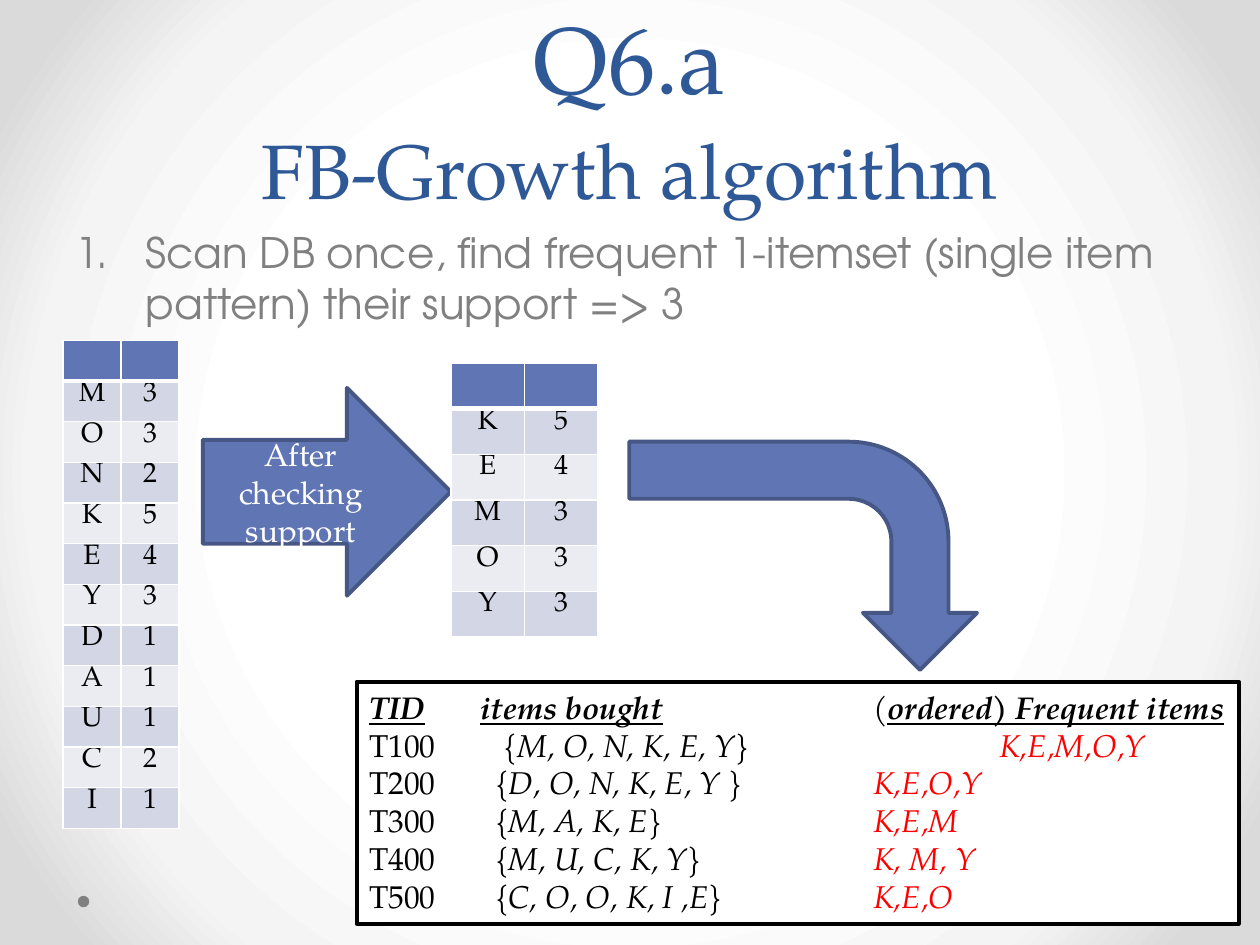
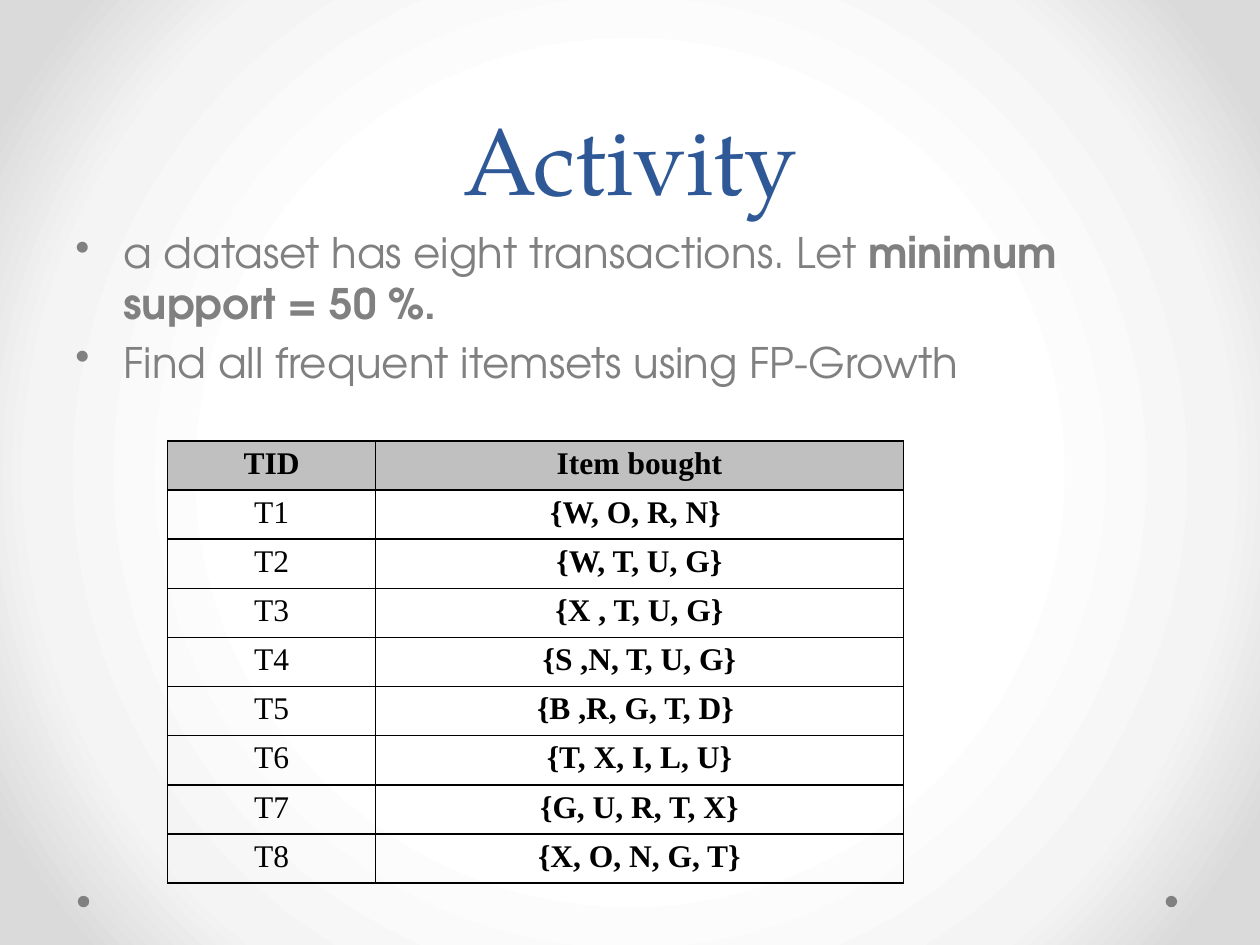
from lxml import etree
from pptx import Presentation
from pptx.dml.color import RGBColor
from pptx.enum.shapes import MSO_SHAPE
from pptx.enum.text import MSO_ANCHOR, PP_ALIGN
from pptx.oxml.ns import qn
from pptx.util import Cm, Pt

CENTER = PP_ALIGN.CENTER
LEFT = PP_ALIGN.LEFT
TOP = MSO_ANCHOR.TOP
MIDDLE = MSO_ANCHOR.MIDDLE
BOTTOM = MSO_ANCHOR.BOTTOM
OVAL = MSO_SHAPE.OVAL
RECT = MSO_SHAPE.RECTANGLE
ARROW = MSO_SHAPE.RIGHT_ARROW
BENT = MSO_SHAPE.BENT_ARROW

SERIF = "TeX Gyre Pagella"
SANS = "TeX Gyre Adventor"
TIMES = "Times New Roman"

HEX = {
    "title": "2F5897", "body": "808080", "blue": "6076B4", "edge": "475785",
    "dark": "D2D6E5", "light": "EAECF2", "head": "C0C0C0",
    "black": "000000", "white": "FFFFFF", "red": "FF0000",
}
GLOW = [(50, "FFFFFF"), (76, "F4F4F4"), (92, "DADADA")]

SCAN = [[("Scan DB once, find frequent 1-itemset (single item pattern) "
          "their support => 3", False)]]
TASK = [
    [("a dataset has eight transactions. Let ", False),
     ("minimum support = 50 %.", True)],
    [("Find all frequent itemsets using FP-Growth", False)],
]
COUNTS = [("", ""), ("M", "3"), ("O", "3"), ("N", "2"), ("K", "5"),
          ("E", "4"), ("Y", "3"), ("D", "1"), ("A", "1"), ("U", "1"),
          ("C", "2"), ("I", "1")]
KEPT = [("", ""), ("K", "5"), ("E", "4"), ("M", "3"), ("O", "3"), ("Y", "3")]
ORDERS = [
    ("T100", "{M, O, N, K, E, Y}", "K,E,M,O,Y", (2.72, 12.7)),
    ("T200", "{D, O, N, K, E, Y }", "K,E,O,Y", (2.54, 10.16)),
    ("T300", "{M, A, K, E}", "K,E,M", (2.54, 10.16)),
    ("T400", "{M, U, C, K, Y}", "K, M, Y", (2.54, 10.16)),
    ("T500", "{C, O, O, K, I ,E}", "K,E,O", (2.54, 10.16)),
]
DEALS = [("TID", "Item bought"), ("T1", "{W, O, R, N} "),
         ("T2", "{W, T, U, G}"), ("T3", "{X , T, U, G}"),
         ("T4", "{S ,N, T, U, G}"), ("T5", "{B ,R, G, T, D} "),
         ("T6", "{T, X, I, L, U}"), ("T7", "{G, U, R, T, X}"),
         ("T8", "{X, O, N, G, T}")]


def color(name):
    return RGBColor.from_string(HEX[name])


def add_run(para, text, size, face, tint, bold=False, slant=False, under=False):
    run = para.add_run()
    run.text = text
    font = run.font
    font.size, font.name = Pt(size), face
    font.bold, font.italic, font.underline = bold, slant, under
    font.color.rgb = color(tint)


def place(shape, box):
    shape.left, shape.top, shape.width, shape.height = map(Cm, box)


def get_para(frame, first):
    return frame.paragraphs[0] if first else frame.add_paragraph()


def set_back(master):
    master.background.fill.gradient()
    grad = master.element.find(".//" + qn("a:gradFill"))
    grad.clear()
    stops = etree.SubElement(grad, qn("a:gsLst"))
    for pos, tint in GLOW:
        stop = etree.SubElement(stops, qn("a:gs"), pos=str(pos * 1000))
        etree.SubElement(stop, qn("a:srgbClr"), val=tint)
    way = etree.SubElement(grad, qn("a:path"), path="circle")
    etree.SubElement(way, qn("a:fillToRect"),
                     {side: "50000" for side in "ltrb"})


def add_shape(slide, kind, box, fill, line=None):
    shape = slide.shapes.add_shape(kind, *map(Cm, box))
    shape.shadow.inherit = False
    shape.fill.solid()
    shape.fill.fore_color.rgb = color(fill)
    if line:
        shape.line.color.rgb = color(line)
        shape.line.width = Pt(2.25)
    else:
        shape.line.fill.background()
    return shape


def add_slide(lines, dots):
    slide = deck.slides.add_slide(deck.slide_layouts[5])
    for left in dots:
        add_shape(slide, OVAL, (left, 18.06, 0.23, 0.23), "body")
    title = slide.shapes.title
    place(title, (1.27, 0, 22.86, 4.45))
    frame = title.text_frame
    frame.word_wrap = True
    frame.vertical_anchor = BOTTOM
    para = frame.paragraphs[0]
    para.alignment = CENTER
    para.line_spacing = Pt(58)
    para._p.get_or_add_pPr().set("rtl", "1")
    for num, (text, size) in enumerate(lines):
        if num:
            para.add_line_break()
        add_run(para, text, size, SERIF, "title")
    return slide


def add_list(slide, items, dent, mark, **kind):
    box = slide.shapes.add_textbox(*map(Cm, (1.27, 4.45, 22.86, 12.57)))
    frame = box.text_frame
    frame.word_wrap = True
    for num, runs in enumerate(items):
        para = get_para(frame, num == 0)
        para.space_before = Pt(4.8)
        props = para._p.get_or_add_pPr()
        props.set("marL", str(Cm(dent)))
        props.set("indent", str(-Cm(dent)))
        etree.SubElement(props, qn(mark), kind)
        for text, bold in runs:
            add_run(para, text, 24, SANS, "body", bold)


def set_edge(cell, tint, widths):
    props = cell._tc.get_or_add_tcPr()
    for side, width in zip("LRTB", widths):
        line = etree.SubElement(props, qn("a:ln" + side), w=str(Pt(width)))
        fill = etree.SubElement(line, qn("a:solidFill"))
        etree.SubElement(fill, qn("a:srgbClr"), val=HEX[tint])


def add_grid(slide, rows, spot, cols, high):
    shape = slide.shapes.add_table(
        len(rows), len(cols), *map(Cm, (*spot, sum(cols), high * len(rows))))
    table = shape.table
    for col, wide in zip(table.columns, cols):
        col.width = Cm(wide)
    for line in table.rows:
        line.height = Cm(high)
    for r, row in enumerate(rows):
        for c, text in enumerate(row):
            cell = table.cell(r, c)
            cell.margin_top = cell.margin_bottom = 0
            cell.margin_left = cell.margin_right = Cm(0.18)
            cell.vertical_anchor = TOP
            para = cell.text_frame.paragraphs[0]
            para.alignment = CENTER
            yield r, c, text, cell, para


def add_counts(slide, rows, spot, wide, high):
    for r, c, text, cell, para in add_grid(slide, rows, spot, (wide, wide), high):
        set_edge(cell, "white", (1, 1, 1, 1 if r else 3))
        cell.fill.solid()
        tint = ("light", "dark")[r % 2] if r else "blue"
        cell.fill.fore_color.rgb = color(tint)
        if text:
            add_run(para, text, 16, SERIF, "black")


def add_deals(slide):
    for r, c, text, cell, para in add_grid(
            slide, DEALS, (3.38, 8.89), (4.19, 10.64), 0.99):
        set_edge(cell, "black", (1, 1, 1, 1))
        if r:
            cell.fill.background()
        else:
            cell.fill.solid()
            cell.fill.fore_color.rgb = color("head")
        para.line_spacing = 1.15
        add_run(para, text, 18, TIMES, "black", bold=r == 0 or c == 1)


def set_tabs(para, stops):
    tabs = etree.SubElement(para._p.get_or_add_pPr(), qn("a:tabLst"))
    for stop in stops:
        etree.SubElement(tabs, qn("a:tab"), pos=str(Cm(stop)), algn="l")


def add_orders(slide):
    box = add_shape(slide, RECT, (7.19, 13.74, 17.78, 4.88), "white", "black")
    frame = box.text_frame
    frame.word_wrap = True
    frame.vertical_anchor = TOP
    para = get_para(frame, True)
    para.alignment = LEFT
    set_tabs(para, (2.24, 10.16))
    for text, bold in [("TID", True), ("\t", False), ("items bought", True),
                       ("\t(", False), ("ordered) Frequent items", True)]:
        add_run(para, text, 18, SERIF, "black", bold, True, bold)
    for tid, items, often, stops in ORDERS:
        para = get_para(frame, False)
        para.alignment = LEFT
        set_tabs(para, stops)
        add_run(para, tid + "\t", 18, SERIF, "black")
        add_run(para, items + "\t", 18, SERIF, "black", slant=True)
        add_run(para, often, 18, SERIF, "red", slant=True)


deck = Presentation()
deck.slide_width, deck.slide_height = Cm(25.4), Cm(19.05)
set_back(deck.slide_master)

growth = add_slide([("Q6.a", 54), ("FB-Growth algorithm", 44)], (1.57,))
add_list(growth, SCAN, 1.42, "a:buAutoNum", type="arabicPeriod")
add_counts(growth, COUNTS, (1.27, 6.86), 1.17, 0.82)
check = add_shape(growth, ARROW, (4.09, 7.82, 5, 4.19), "blue", "edge")
check.text_frame.word_wrap = True
check.text_frame.vertical_anchor = MIDDLE
label = check.text_frame.paragraphs[0]
label.alignment = CENTER
add_run(label, "After checking support", 18, SERIF, "white")
add_counts(growth, KEPT, (9.09, 7.32), 1.48, 0.92)
add_orders(growth)
turn = add_shape(growth, BENT, (13.89, 7.7, 4.6, 7.01), "blue", "edge")
turn.rotation = 90

task = add_slide([("Activity", 54)], (23.5, 1.57))
add_list(task, TASK, 0.97, "a:buChar", char="•")
add_deals(task)

deck.save("out.pptx")
